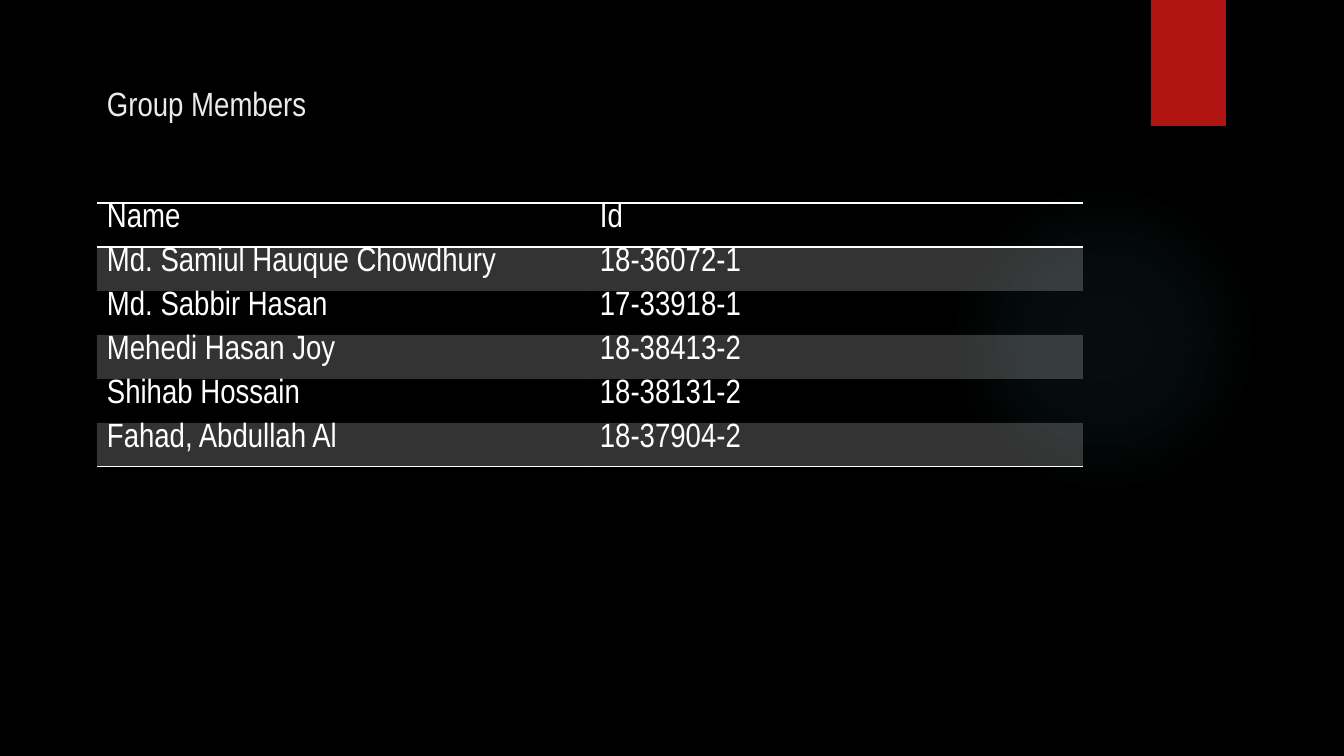
from lxml import etree
from pptx import Presentation
from pptx.dml.color import RGBColor
from pptx.enum.shapes import MSO_SHAPE
from pptx.enum.text import MSO_ANCHOR
from pptx.oxml import parse_xml
from pptx.oxml.ns import nsdecls, qn
from pptx.util import Pt

PX = 12192000 / 1344  # EMU per pixel
OVAL, RECTANGLE = MSO_SHAPE.OVAL, MSO_SHAPE.RECTANGLE
TOP = MSO_ANCHOR.TOP

BLACK = RGBColor(0x00, 0x00, 0x00)
WHITE = RGBColor(0xFF, 0xFF, 0xFF)
OFF_WHITE = RGBColor(0xEB, 0xEB, 0xEB)
RED = RGBColor(0xB0, 0x15, 0x13)
TEAL = RGBColor(0x50, 0xB9, 0xC1)

FONT = "Arial Narrow"
TEXT_SIZE = Pt(24)
NO_GRID_STYLE = "{2D5ABB26-0587-4C30-8999-92F81FD0307C}"
GLOW_STOPS = [(0, 7), (36, 6), (69, 0)]  # position %, opacity %
BAND_OPACITY = 20

MEMBERS = [
    ("Name", "Id"),
    ("Md. Samiul Hauque Chowdhury", "18-36072-1"),
    ("Md. Sabbir Hasan", "17-33918-1"),
    ("Mehedi Hasan Joy", "18-38413-2"),
    ("Shihab Hossain", "18-38131-2"),
    ("Fahad, Abdullah Al", "18-37904-2"),
]


def px(*lengths):
    return [round(length * PX) for length in lengths]


def add_plain_shape(slide, kind, box, color):
    shape = slide.shapes.add_shape(kind, *px(*box))
    shape.shadow.inherit = False
    shape.fill.solid()
    shape.fill.fore_color.rgb = color
    shape.line.fill.background()
    return shape


def add_glow(slide, box, color):
    glow = add_plain_shape(slide, OVAL, box, color)
    stops = "".join(
        f'<a:gs pos="{position * 1000}"><a:srgbClr val="{color}">'
        f'<a:alpha val="{opacity * 1000}"/></a:srgbClr></a:gs>'
        for position, opacity in GLOW_STOPS)
    gradient = parse_xml(
        f'<a:gradFill {nsdecls("a")}><a:gsLst>{stops}</a:gsLst>'
        '<a:path path="circle"><a:fillToRect l="50000" t="50000" r="50000" b="50000"/>'
        '</a:path></a:gradFill>')
    properties = glow._element.spPr
    properties.replace(properties.find(qn("a:solidFill")), gradient)


def write(frame, text, color):
    frame.text = text
    font = frame.paragraphs[0].runs[0].font
    font.name, font.size = FONT, TEXT_SIZE
    font.color.rgb = color


def add_title(slide, text, box):
    frame = slide.shapes.add_textbox(*px(*box)).text_frame
    frame.word_wrap = True
    frame.vertical_anchor = TOP
    frame.margin_top, frame.margin_left = px(9, 10)
    write(frame, text, OFF_WHITE)


def rule_cell(cell, sides):
    # Border lines come before the fill in the cell properties
    for index, side in enumerate(sides):
        line = parse_xml(
            f'<a:{side} {nsdecls("a")} w="12700"><a:solidFill>'
            f'<a:srgbClr val="{WHITE}"/></a:solidFill></a:{side}>')
        cell._tc.get_or_add_tcPr().insert(index, line)


def fill_cell(cell, banded):
    if not banded:
        cell.fill.background()
        return
    cell.fill.solid()
    cell.fill.fore_color.rgb = WHITE
    color = cell._tc.tcPr.find(".//" + qn("a:srgbClr"))
    etree.SubElement(color, qn("a:alpha"), val=str(BAND_OPACITY * 1000))


def add_member_table(slide, rows, left, top, column_width, row_height):
    columns = len(rows[0])
    frame = slide.shapes.add_table(
        len(rows), columns,
        *px(left, top, column_width * columns, row_height * len(rows)))
    table = frame.table
    table.first_row = table.horz_banding = False
    table._tbl.tblPr.find(qn("a:tableStyleId")).text = NO_GRID_STYLE

    rules = {0: ("lnT", "lnB"), len(rows) - 1: ("lnB",)}
    for r, values in enumerate(rows):
        for c, value in enumerate(values):
            cell = table.cell(r, c)
            cell.margin_top = cell.margin_bottom = 0
            cell.margin_left, = px(10)
            write(cell.text_frame, value, WHITE)
            fill_cell(cell, banded=r % 2 == 1)
            rule_cell(cell, rules.get(r, ()))


def main():
    deck = Presentation()
    deck.slide_width, deck.slide_height = px(1344, 756)
    slide = deck.slides.add_slide(deck.slide_layouts[6])

    # Backdrop
    slide.background.fill.solid()
    slide.background.fill.fore_color.rgb = BLACK
    add_glow(slide, (949, 184, 310, 310), TEAL)
    add_plain_shape(slide, RECTANGLE, (1151, 0, 75, 126), RED)

    # Content
    add_title(slide, "Group Members", (97, 74, 1134, 154))
    add_member_table(slide, MEMBERS, left=97, top=203, column_width=493, row_height=44)

    deck.save("out.pptx")


if __name__ == "__main__":
    main()
